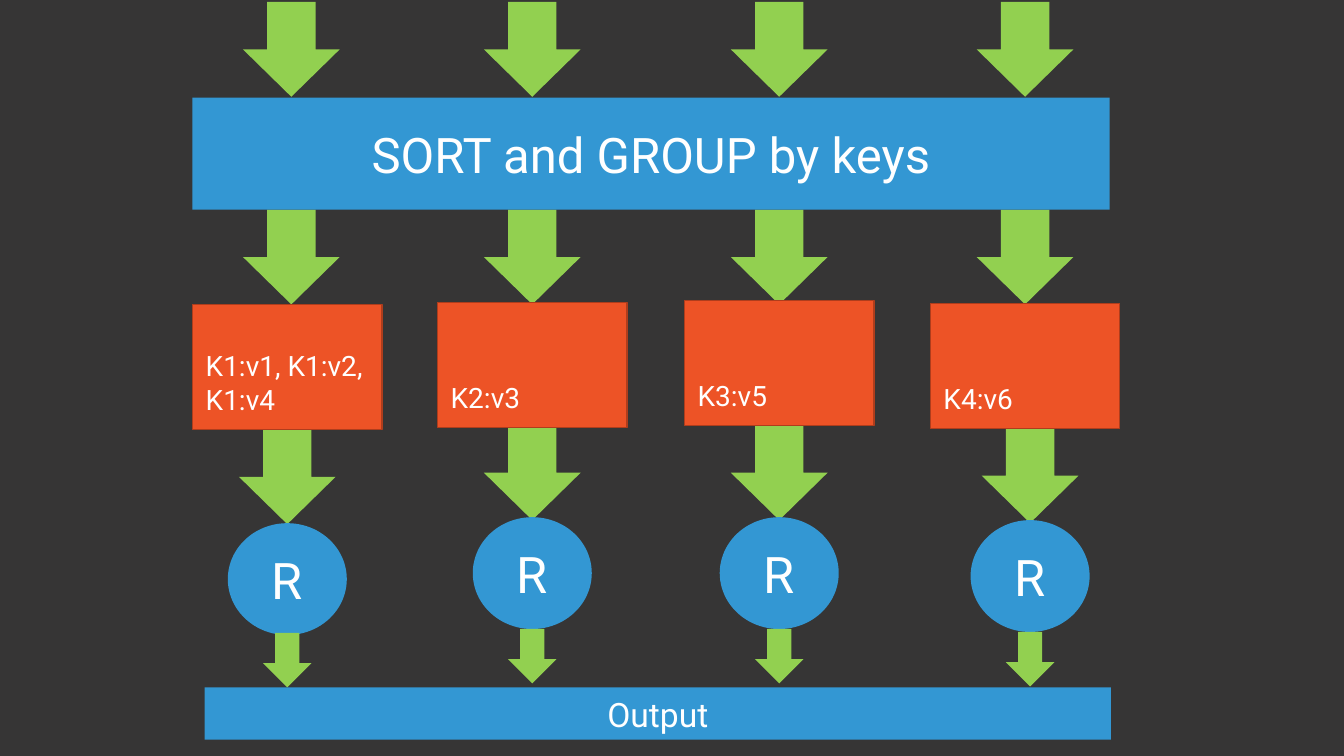
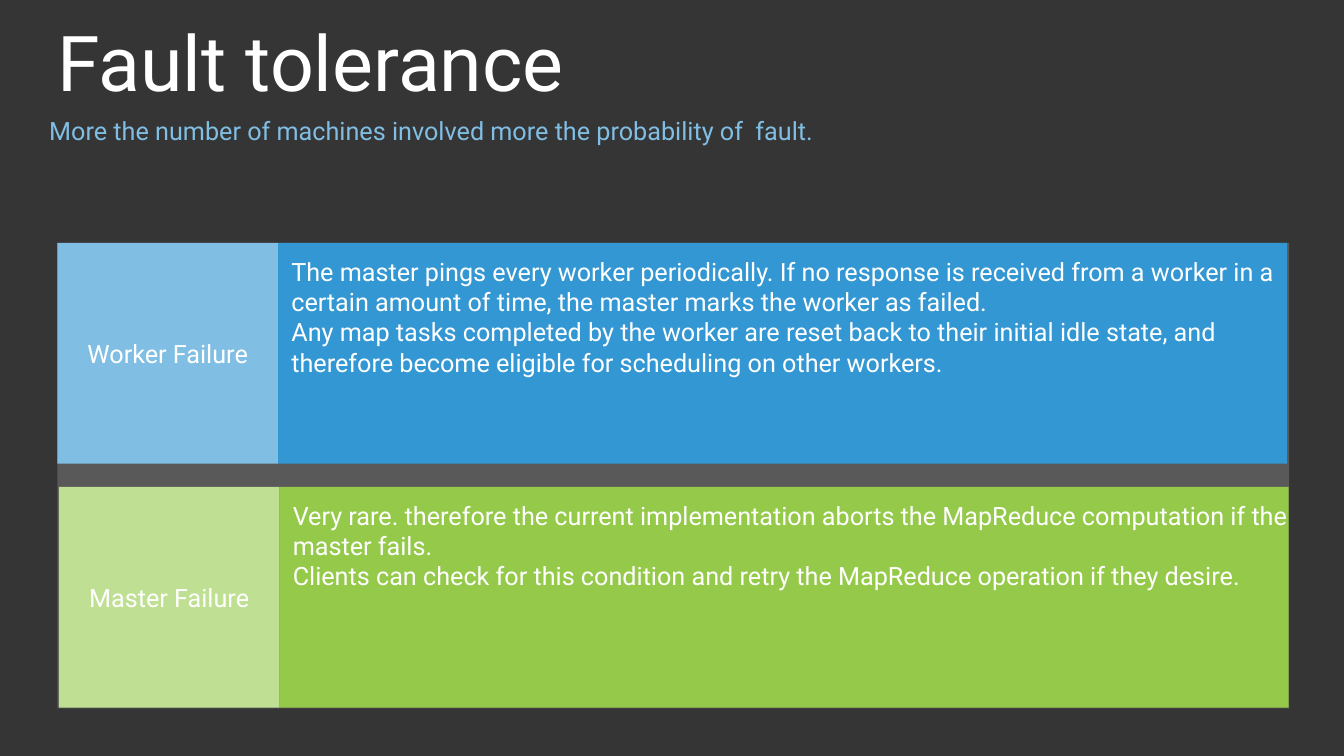
from dataclasses import dataclass

from pptx import Presentation
from pptx.dml.color import RGBColor
from pptx.enum.shapes import MSO_SHAPE as Geometry
from pptx.enum.text import MSO_ANCHOR as Anchor, PP_ALIGN as Align
from pptx.util import Pt

FONT = "Roboto"
COLORS = {
    "background": "363535",
    "white": "FFFFFF",
    "blue": "3397D3",
    "light_blue": "80BEE4",
    "green": "94C949",
    "light_green": "BFDF92",
    "arrow": "92D050",
    "orange": "ED5326",
    "orange_edge": "AF3D1C",
    "panel": "595959",
}


@dataclass(frozen=True)
class Box:
    left: float
    top: float
    width: float
    height: float

    def lengths(self) -> tuple:
        return Pt(self.left), Pt(self.top), Pt(self.width), Pt(self.height)


@dataclass(frozen=True)
class Lane:
    """One key group: centres of its three stages and the tops that vary."""
    pairs: str
    inflow_x: float
    group_x: float
    reducer_x: float
    group_top: float
    reduce_arrow_y: float
    reducer_top: float
    output_arrow_y: float


@dataclass(frozen=True)
class Failure:
    label: str
    details: str
    left: float
    top: float
    label_color: str
    detail_color: str


def rgb(name: str) -> RGBColor:
    return RGBColor.from_string(COLORS[name])


def write(shape, text: str, *, size: float, color: str = "white",
          align=Align.LEFT, anchor=Anchor.TOP, insets=(0, 0, 0, 0),
          spacing: float | None = None) -> None:
    """Fill a shape with text, one paragraph a line."""
    frame = shape.text_frame
    frame.word_wrap = True
    frame.vertical_anchor = anchor
    (frame.margin_left, frame.margin_top,
     frame.margin_right, frame.margin_bottom) = map(Pt, insets)
    frame.text = text
    for paragraph in frame.paragraphs:
        paragraph.alignment = align
        if spacing:
            paragraph.line_spacing = spacing
        font = paragraph.runs[0].font
        font.name, font.size = FONT, Pt(size)
        font.color.rgb = rgb(color)


def add_block(slide, box: Box, color: str, geometry=Geometry.RECTANGLE,
              edge: str | None = None):
    shape = slide.shapes.add_shape(geometry, *box.lengths())
    shape.shadow.inherit = False
    shape.fill.solid()
    shape.fill.fore_color.rgb = rgb(color)
    if edge:
        shape.line.color.rgb = rgb(edge)
        shape.line.width = Pt(0.85)
    else:
        shape.line.fill.background()
    return shape


def add_label(slide, box: Box, color: str, text: str, size: float,
              geometry=Geometry.RECTANGLE, inset: float = 3.6) -> None:
    write(add_block(slide, box, color, geometry), text, size=size,
          align=Align.CENTER, anchor=Anchor.MIDDLE, insets=(inset,) * 4)


def add_down_arrow(slide, center_x: float, center_y: float,
                   length: float = 67.7, breadth: float = 69.1) -> None:
    box = Box(center_x - length / 2, center_y - breadth / 2, length, breadth)
    add_block(slide, box, "arrow", Geometry.RIGHT_ARROW).rotation = 90


def add_text(slide, box: Box, text: str, **style) -> None:
    write(slide.shapes.add_textbox(*box.lengths()), text, **style)


LANES = [
    Lane("K1:v1, K1:v2,\nK1:v4", 208.1, 205.2, 205.2, 217.4, 340.6, 373.7, 471.6),
    Lane("K2:v3", 380.2, 380.2, 380.2, 216, 337.7, 369.4, 468.7),
    Lane("K3:v5", 556.6, 556.6, 556.6, 214.6, 337.7, 369.4, 468.7),
    Lane("K4:v6", 732.2, 732.2, 735.8, 216.7, 339.8, 371.5, 470.9),
]
INFLOW_ARROW_YS = (35.3, 183.6)

FAILURES = [
    Failure(
        "Worker Failure",
        "The master pings every worker periodically. If no response is received "
        "from a worker in a certain amount of time, the master marks the worker "
        "as failed.\n"
        "Any map tasks completed by the worker are reset back to their initial "
        "idle state, and therefore become eligible for scheduling on other workers.",
        41, 173.5, "light_blue", "blue"),
    Failure(
        "Master Failure",
        "Very rare. therefore the current implementation aborts the MapReduce "
        "computation if the master fails.\n"
        "Clients can check for this condition and retry the MapReduce operation "
        "if they desire.",
        42, 347.8, "light_green", "green"),
]


def build_reduce_flow(slide) -> None:
    group_width, group_height = 135.4, 89.3
    reducer_width, reducer_height = 85, 79.9

    # Arrows into and out of the sorting step, then into the reducers
    for lane in LANES:
        for arrow_y in INFLOW_ARROW_YS:
            add_down_arrow(slide, lane.inflow_x, arrow_y)
        add_down_arrow(slide, lane.reducer_x, lane.reduce_arrow_y)

    # Sorting step
    add_label(slide, Box(137.5, 69.8, 655.2, 79.9), "blue",
              "SORT and GROUP by keys", 35)

    # Key groups, reducers and arrows to the output
    for lane in LANES:
        group = add_block(
            slide, Box(lane.group_x - group_width / 2, lane.group_top,
                       group_width, group_height),
            "orange", edge="orange_edge")
        write(group, lane.pairs, size=20, anchor=Anchor.BOTTOM,
              insets=(9.4, 5, 9.4, 9.4))
        add_label(slide, Box(lane.reducer_x - reducer_width / 2, lane.reducer_top,
                             reducer_width, reducer_height),
                  "blue", "R", 36, Geometry.OVAL)
        add_down_arrow(slide, lane.reducer_x, lane.output_arrow_y, 38.9, 34.6)

    # Output
    add_label(slide, Box(146.2, 491, 647.3, 37.4), "blue", "Output", 24)


def build_fault_tolerance(slide) -> None:
    label_side, detail_width = 157.7, 720.7

    # Panel behind the rows
    add_block(slide, Box(41, 173.5, 879.8, 332.6), "panel")

    # Title and subtitle
    add_text(slide, Box(41, 18, 877.7, 59.8), "Fault tolerance",
             size=55, spacing=0.9)
    add_text(slide, Box(28.1, 78.5, 920.2, 28.8),
             "More the number of machines involved more the probability of  fault.",
             size=18, color="light_blue", insets=(7.2, 3.6, 7.2, 3.6))

    # Failure rows
    for failure in FAILURES:
        add_label(slide, Box(failure.left, failure.top, label_side, label_side),
                  failure.label_color, failure.label, 18, inset=5)
        details = add_block(
            slide, Box(failure.left + label_side, failure.top,
                       detail_width, label_side),
            failure.detail_color)
        write(details, failure.details, size=18, insets=(9.4, 9.4, 0, 5))


def main() -> None:
    deck = Presentation()
    deck.slide_width, deck.slide_height = Pt(960), Pt(540)

    # Shared background
    backdrop = deck.slide_master.background.fill
    backdrop.solid()
    backdrop.fore_color.rgb = rgb("background")

    blank = deck.slide_layouts[6]
    for build in (build_reduce_flow, build_fault_tolerance):
        build(deck.slides.add_slide(blank))
    deck.save("out.pptx")


main()
